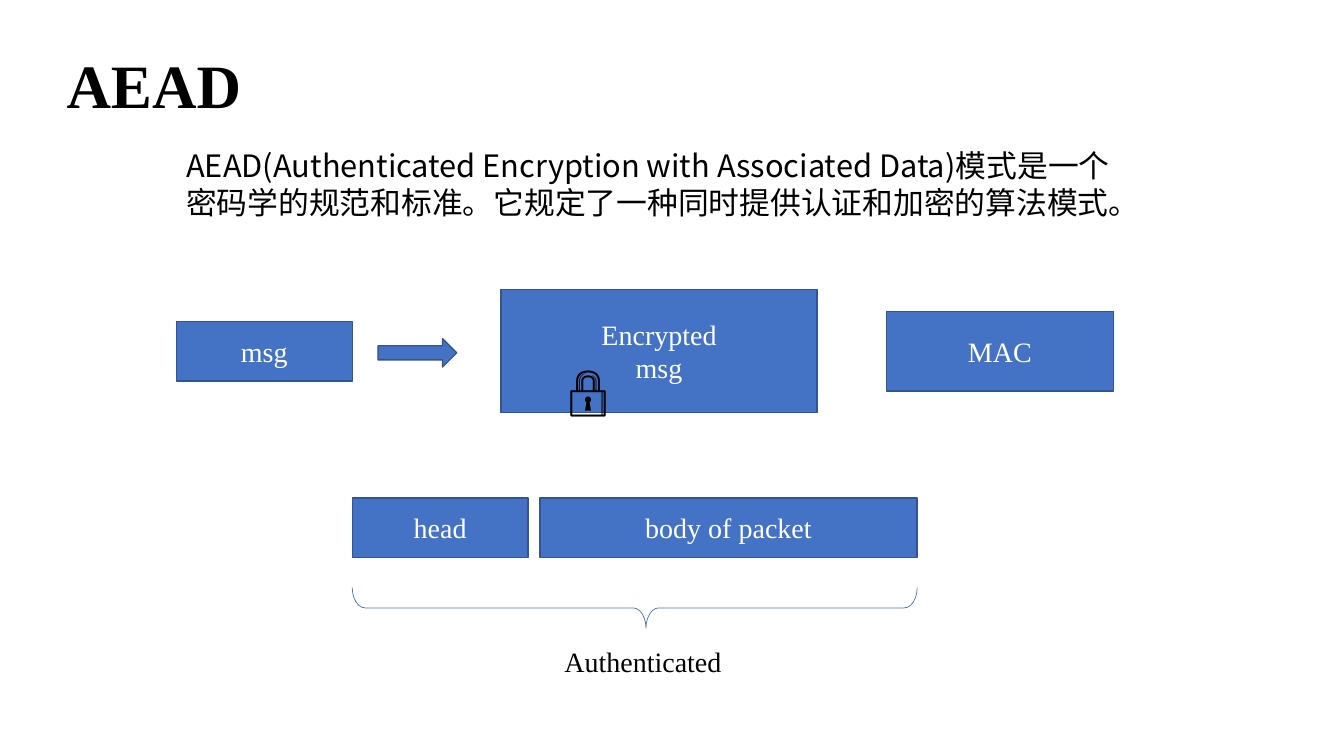
from pptx import Presentation, util as u
from pptx.dml import color
from pptx.enum import shapes, text
from pptx.oxml import ns
from lxml import etree

BLUE, EDGE, BLACK, WHITE = "4472C4", "325491", "000000", "FFFFFF"
SERIF, SANS = "Times New Roman", "Noto Sans CJK SC"
KIND = shapes.MSO_SHAPE


def paint(target, value):
    target.rgb = color.RGBColor.from_string(value)


class AeadSlide:
    """Draws styled elements on one slide, with all lengths in points."""

    def __init__(self, deck):
        self.page = deck.slides.add_slide(deck.slide_layouts[5])

    def letter(self, box, words, size, ink, font=SERIF, align=text.PP_ALIGN.LEFT, bold=False):
        box.text_frame.text = words
        for para in box.text_frame.paragraphs:
            para.alignment = align
            para.font.name, para.font.size, para.font.bold = font, u.Pt(size), bold
            paint(para.font.color, ink)
            for span in para.runs:
                east = etree.SubElement(span._r.get_or_add_rPr(), ns.qn("a:ea"))
                east.set("typeface", font)

    def fit(self, box, wrap):
        frame = box.text_frame
        frame.word_wrap = wrap
        frame.auto_size = text.MSO_AUTO_SIZE.SHAPE_TO_FIT_TEXT
        frame.vertical_anchor = text.MSO_ANCHOR.TOP

    def title(self, words, left, top, width, height):
        box = self.page.shapes.title
        box.left, box.top, box.width, box.height = map(u.Pt, (left, top, width, height))
        self.letter(box, words, 44, BLACK, bold=True)
        self.fit(box, False)

    def label(self, words, left, top, width, height, size=20, font=SERIF, wrap=True):
        box = self.page.shapes.add_textbox(*map(u.Pt, (left, top, width, height)))
        self.letter(box, words, size, BLACK, font)
        self.fit(box, wrap)

    def shape(self, kind, left, top, width, height, edge=EDGE, weight=1):
        box = self.page.shapes.add_shape(kind, *map(u.Pt, (left, top, width, height)))
        box.shadow.inherit = False
        box.line.width = u.Pt(weight)
        paint(box.line.color, edge)
        return box

    def block(self, words, left, top, width, height, kind=KIND.RECTANGLE):
        box = self.shape(kind, left, top, width, height)
        box.fill.solid()
        paint(box.fill.fore_color, BLUE)
        if words:
            self.letter(box, words, 20, WHITE, align=text.PP_ALIGN.CENTER)
            box.text_frame.vertical_anchor = text.MSO_ANCHOR.MIDDLE

    def brace(self, left, top, width, height):
        shift = (width - height) / 2
        box = self.shape(KIND.LEFT_BRACE, left + shift, top - shift, height, width, BLUE, 0.5)
        box.fill.background()
        box.rotation = 270
        box.adjustments[0], box.adjustments[1] = 0.32, 0.52


def main():
    deck = Presentation()
    deck.slide_width, deck.slide_height = u.Pt(960), u.Pt(540)
    slide = AeadSlide(deck)
    slide.title("AEAD", 40.3, 30.2, 140.4, 60.5)
    slide.label("AEAD(Authenticated Encryption with Associated Data)模式是一个"
                "密码学的规范和标准。它规定了一种同时提供认证和加密的算法模式。",
                126, 101.5, 695.5, 82, 22, SANS)
    blocks = [
        ("msg", 126, 229.7, 125.6, 42.5),
        ("Encrypted\nmsg", 358, 206.7, 225.6, 88),
        ("MAC", 633.2, 222.3, 162, 56.9),
        ("head", 251.6, 355.7, 125.6, 42.5),
        ("body of packet", 385.6, 355.7, 269.5, 42.5),
    ]
    for block in blocks:
        slide.block(*block)
    slide.block("", 270, 241.9, 56.2, 20.2, KIND.RIGHT_ARROW)
    slide.label("🔒", 398.9, 252, 72, 51.1, 36)
    slide.brace(251.6, 419.8, 403.5, 28.8)
    slide.label("Authenticated", 396, 456.5, 127.4, 31.7, wrap=False)
    deck.save("out.pptx")


if __name__ == "__main__":
    main()
